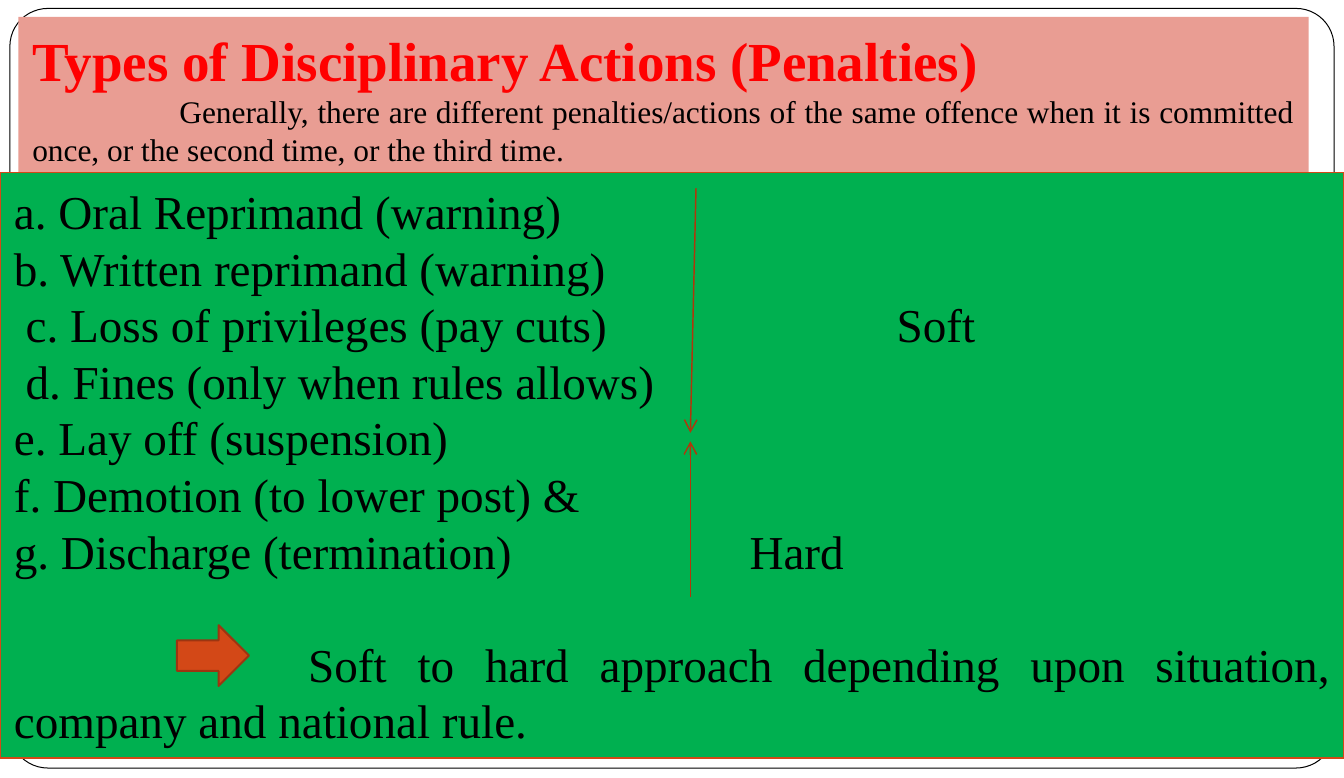
from pptx import Presentation
from pptx.dml.color import RGBColor
from pptx.enum.shapes import MSO_CONNECTOR, MSO_SHAPE
from pptx.enum.text import MSO_ANCHOR, PP_ALIGN
from pptx.oxml.ns import qn
from pptx.util import Inches, Pt
from lxml import etree

RECTANGLE = MSO_SHAPE.RECTANGLE
ROUNDED = MSO_SHAPE.ROUNDED_RECTANGLE
RIGHT_ARROW = MSO_SHAPE.RIGHT_ARROW
STRAIGHT = MSO_CONNECTOR.STRAIGHT
MIDDLE = MSO_ANCHOR.MIDDLE
LEFT, JUSTIFY = PP_ALIGN.LEFT, PP_ALIGN.JUSTIFY

WHITE = RGBColor(0xFF, 0xFF, 0xFF)
BLACK = RGBColor(0x00, 0x00, 0x00)
RED = RGBColor(0xFF, 0x00, 0x00)
PINK = RGBColor(0xE9, 0x9D, 0x93)
GREEN = RGBColor(0x00, 0xB0, 0x50)
ORANGE = RGBColor(0xD3, 0x48, 0x17)
RUST = RGBColor(0xB1, 0x36, 0x0B)
BROWN = RGBColor(0x9C, 0x35, 0x11)

COLUMNS, ROWS = 95, 55
TAB = 10.4  # columns between tab stops


class SlideBuilder:
    """Draws on one slide; lengths are columns and rows of the grid."""

    font = "Times New Roman"
    leading = 1.2

    def __init__(self, deck):
        self.slide = deck.slides.add_slide(deck.slide_layouts[6])
        self.column = deck.slide_width / COLUMNS
        self.row = deck.slide_height / ROWS

    def across(self, columns):
        return round(columns * self.column)

    def down(self, rows):
        return round(rows * self.row)

    def shape(self, kind, left, top, width, height, fill, line=None, weight=0.75):
        box = self.slide.shapes.add_shape(
            kind, self.across(left), self.down(top), self.across(width), self.down(height))
        box.shadow.inherit = False
        box.fill.solid()
        box.fill.fore_color.rgb = fill
        if line is None:
            box.line.fill.background()
        else:
            box.line.color.rgb = line
            box.line.width = Pt(weight)
        return box

    def text_box(self, left, top, width, height, fill, line=None):
        box = self.shape(RECTANGLE, left, top, width, height, fill, line)
        box.text_frame.word_wrap = True
        box.text_frame.vertical_anchor = MIDDLE
        return box

    def paragraph(self, box, text, size, color=BLACK, bold=False, align=LEFT,
                  indent=0, tab=None, before=0):
        frame = box.text_frame
        para = frame.paragraphs[0] if not frame.text else frame.add_paragraph()
        para.text = text
        properties = para._p.get_or_add_pPr()
        if indent:
            properties.set("indent", str(self.across(indent)))
        if tab:
            stops = etree.SubElement(properties, qn("a:tabLst"))
            etree.SubElement(stops, qn("a:tab"), pos=str(self.across(tab)), algn="l")
        para.alignment = align
        para.line_spacing = Pt(size * self.leading)
        if before:
            para.space_before = Pt(before)
        for span in para.runs:
            span.font.name = self.font
            span.font.size = Pt(size)
            span.font.bold = bold
            span.font.color.rgb = color

    def arrow(self, start, end):
        line = self.slide.shapes.add_connector(
            STRAIGHT, self.across(start[0]), self.down(start[1]),
            self.across(end[0]), self.down(end[1]))
        line.line.color.rgb = RUST
        line.line.width = Pt(0.75)
        etree.SubElement(line.line._get_or_add_ln(), qn("a:tailEnd"), type="arrow")
        etree.SubElement(line._element.spPr, qn("a:effectLst"))


def main():
    deck = Presentation()
    deck.slide_width, deck.slide_height = Inches(9.5), Inches(5.5)
    page = SlideBuilder(deck)

    # Rounded frame
    frame = page.shape(ROUNDED, 0.7, 0.6, 93.6, 53.7, WHITE, BLACK, 0.5)
    frame.adjustments[0] = 0.05

    # Heading and introduction
    heading = page.text_box(1.3, 1.2, 91.2, 11.3, PINK)
    page.paragraph(heading, "Types of Disciplinary Actions (Penalties)", 28, RED, bold=True)
    page.paragraph(
        heading,
        "Generally, there are different penalties/actions of the same offence "
        "when it is committed once, or the second time, or the third time.",
        16, align=JUSTIFY, indent=TAB)

    # Penalties from soft to hard
    penalties = page.text_box(0, 12.2, 95, 41.4, GREEN, ORANGE)
    for text, tab in (
        ("a. Oral Reprimand (warning)", None),
        ("b. Written reprimand (warning)", None),
        (" c. Loss of privileges (pay cuts)\tSoft", 6 * TAB),
        (" d. Fines (only when rules allows)", None),
        ("e. Lay off (suspension)", None),
        ("f. Demotion (to lower post) &", None),
        ("g. Discharge (termination)\tHard", 5 * TAB),
    ):
        page.paragraph(penalties, text, 24, tab=tab)
    page.paragraph(
        penalties,
        "Soft to hard approach depending upon situation, company and national rule.",
        24, align=JUSTIFY, indent=2 * TAB, before=24 * page.leading)

    # Arrows
    page.arrow((49.2, 13.3), (48.8, 30.6))
    page.arrow((48.8, 42.2), (48.8, 31.2))
    page.shape(RIGHT_ARROW, 12.5, 44.2, 5.1, 4.3, ORANGE, BROWN, 1)

    deck.save("out.pptx")


if __name__ == "__main__":
    main()
